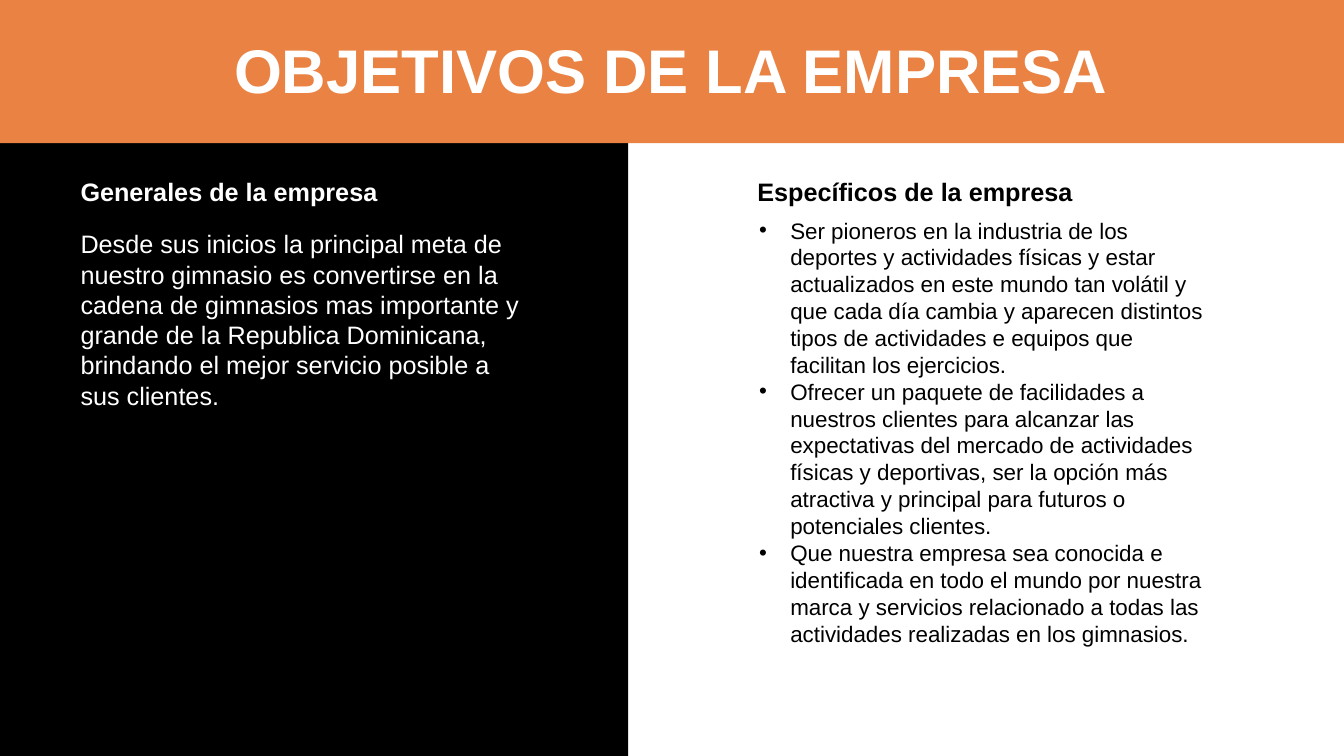
from lxml import etree
from pptx import Presentation
from pptx.dml.color import RGBColor
from pptx.enum.shapes import MSO_SHAPE
from pptx.enum.text import MSO_ANCHOR, MSO_AUTO_SIZE, PP_ALIGN
from pptx.oxml.ns import qn
from pptx.util import Inches, Pt

RECTANGLE = MSO_SHAPE.RECTANGLE
TOP = MSO_ANCHOR.TOP
FIT_SHAPE = MSO_AUTO_SIZE.SHAPE_TO_FIT_TEXT
LEFT, CENTER = PP_ALIGN.LEFT, PP_ALIGN.CENTER
TITLE_ONLY = 5
FONT = "Arial"
COLORS = {"black": "000000", "white": "FFFFFF", "orange": "EA8244"}
INDENT = Inches(0.31)

GENERAL_GOAL = (
    "Desde sus inicios la principal meta de nuestro gimnasio es convertirse en la "
    "cadena de gimnasios mas importante y grande de la Republica Dominicana, "
    "brindando el mejor servicio posible a sus clientes."
)
SPECIFIC_GOALS = [
    "Ser pioneros en la industria de los deportes y actividades físicas y estar "
    "actualizados en este mundo tan volátil y que cada día cambia y aparecen distintos "
    "tipos de actividades e equipos que facilitan los ejercicios.",
    "Ofrecer un paquete de facilidades a nuestros clientes para alcanzar las "
    "expectativas del mercado de actividades físicas y deportivas, ser la opción más "
    "atractiva y principal para futuros o potenciales clientes.",
    "Que nuestra empresa sea conocida e identificada en todo el mundo por nuestra "
    "marca y servicios relacionado a todas las actividades realizadas en los gimnasios.",
]


def add_panel(page, left, top, width, height, color):
    """Add a plain filled rectangle."""
    panel = page.shapes.add_shape(
        RECTANGLE, Inches(left), Inches(top), Inches(width), Inches(height)
    )
    panel.shadow.inherit = False
    panel.fill.solid()
    panel.fill.fore_color.rgb = RGBColor.from_string(COLORS[color])
    panel.line.fill.background()
    return panel


def add_bullet(para):
    """Give a paragraph a hanging round bullet."""
    props = para._p.get_or_add_pPr()
    props.set("marL", str(INDENT))
    props.set("indent", str(-INDENT))
    etree.SubElement(props, qn("a:buFont")).set("typeface", FONT)
    etree.SubElement(props, qn("a:buChar")).set("char", "•")


def write_text(box, texts, size, color, bold=False, align=LEFT, bullets=False):
    """Fill a box with one formatted run per paragraph."""
    frame = box.text_frame
    frame.word_wrap = True
    frame.auto_size = FIT_SHAPE
    frame.vertical_anchor = TOP
    for index, text in enumerate(texts):
        para = frame.add_paragraph() if index else frame.paragraphs[0]
        para.alignment = align
        if bullets:
            add_bullet(para)
        span = para.add_run()
        span.text = text
        span.font.name = FONT
        span.font.size = Pt(size)
        span.font.bold = bold
        span.font.color.rgb = RGBColor.from_string(COLORS[color])


def add_text(page, left, top, width, height, texts, size, color, **style):
    """Add a text box and write its paragraphs."""
    box = page.shapes.add_textbox(
        Inches(left), Inches(top), Inches(width), Inches(height)
    )
    write_text(box, texts, size, color, **style)


def place_title(page, band, text):
    """Place the title over its band."""
    title = page.shapes.title
    title.left, title.top = Inches(1.98), Inches(0.27)
    title.width, title.height = Inches(9.36), Inches(0.84)
    write_text(title, [text], 44, "white", bold=True, align=CENTER)
    band.element.addnext(title.element)


def main():
    """Build and save the slide."""
    deck = Presentation()
    deck.slide_width, deck.slide_height = Inches(13.33), Inches(7.5)
    page = deck.slides.add_slide(deck.slide_layouts[TITLE_ONLY])
    add_panel(page, 0, 0, 6.23, 7.5, "black")
    band = add_panel(page, 0, -0.12, 13.33, 1.54, "orange")
    place_title(page, band, "OBJETIVOS DE LA EMPRESA")
    add_text(page, 0.7, 2.22, 4.71, 1.92, [GENERAL_GOAL], 18, "white")
    add_text(page, 7.43, 2.1, 4.71, 4.41, SPECIFIC_GOALS, 16, "black", bullets=True)
    add_text(page, 0.7, 1.7, 3.32, 0.4, ["Generales de la empresa"], 18, "white", bold=True)
    add_text(page, 6.93, 1.7, 4.29, 0.4, ["Específicos de la empresa"], 18, "black",
             bold=True, align=CENTER)
    deck.save("out.pptx")


if __name__ == "__main__":
    main()
